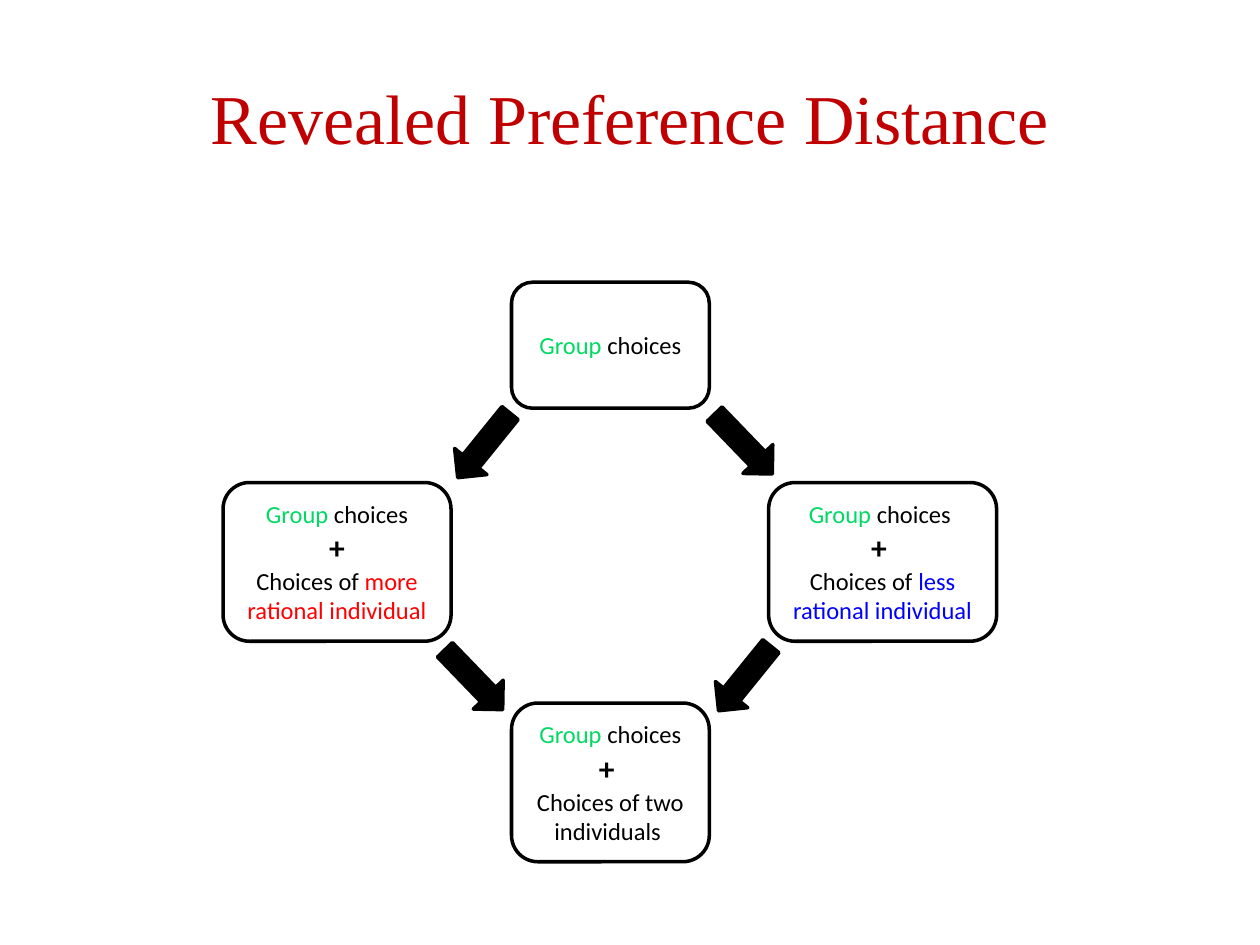
from dataclasses import dataclass

from pptx import Presentation, util as u
from pptx.dml.color import RGBColor
from pptx.enum import shapes, text

SCALE = 9144
BLACK = RGBColor(0, 0, 0)
GREEN = RGBColor(0, 0xDA, 0x63)
RED = RGBColor(0xFF, 0, 0)
BLUE = RGBColor(0, 0, 0xFF)
DARK_RED = RGBColor(0xC0, 0, 0)


def px(value: int) -> u.Emu:
    return u.Emu(value * SCALE)


@dataclass(frozen=True)
class Run:
    text: str
    color: RGBColor = BLACK
    size: int = 14
    bold: bool = False
    font: str = "Calibri"


@dataclass(frozen=True)
class Box:
    left: int
    top: int
    width: int
    height: int
    paragraphs: list[list[Run]]


@dataclass(frozen=True)
class Arrow:
    left: int
    top: int
    rotation: int
    width: int = 66
    height: int = 33


GROUP = Run("Group ", GREEN)
DOWN_LEFT, DOWN_RIGHT = 129, 46

TITLE = Box(50, 30, 900, 125, [
    [Run("Revealed Preference Distance", DARK_RED, 40, font="Times New Roman")],
])


def combined(choices: str, plus: str, *detail: Run) -> list[list[Run]]:
    return [[GROUP, Run(choices)], [Run(plus, size=18, bold=True)], list(detail)]


BOXES = [
    Box(406, 224, 157, 100, [[GROUP, Run("choices")]]),
    Box(406, 558, 157, 126,
        combined("choices", "+ ", Run("Choices of two individuals "))),
    Box(177, 383, 181, 126,
        combined("choices", "+", Run("Choices of "),
                 Run("more rational individual", RED))),
    Box(610, 383, 181, 126,
        combined("choices ", "+ ", Run("Choices of "),
                 Run("less rational individual", BLUE))),
]

ARROWS = [
    Arrow(351, 337, DOWN_LEFT),
    Arrow(558, 522, DOWN_LEFT),
    Arrow(557, 336, DOWN_RIGHT),
    Arrow(343, 523, DOWN_RIGHT),
]


def bounds(item: Box | Arrow) -> list[u.Emu]:
    return [px(value) for value in (item.left, item.top, item.width, item.height)]


def write_text(shape, paragraphs: list[list[Run]]) -> None:
    frame = shape.text_frame
    frame.word_wrap = True
    frame.vertical_anchor = text.MSO_ANCHOR.MIDDLE
    for index, runs in enumerate(paragraphs):
        paragraph = frame.add_paragraph() if index else frame.paragraphs[0]
        paragraph.alignment = text.PP_ALIGN.CENTER
        for part in runs:
            run = paragraph.add_run()
            run.text = part.text
            run.font.color.rgb = part.color
            formats = {"name": part.font, "size": u.Pt(part.size), "bold": part.bold}
            for name, value in formats.items():
                setattr(run.font, name, value)


def outline(shape) -> None:
    shape.shadow.inherit = False
    shape.line.color.rgb = BLACK
    shape.line.width = u.Pt(2)


def draw_box(slide, box: Box) -> None:
    shape = slide.shapes.add_shape(
        shapes.MSO_SHAPE.ROUNDED_RECTANGLE, *bounds(box))
    outline(shape)
    shape.fill.background()
    write_text(shape, box.paragraphs)


def draw_arrow(slide, arrow: Arrow) -> None:
    shape = slide.shapes.add_shape(shapes.MSO_SHAPE.RIGHT_ARROW, *bounds(arrow))
    outline(shape)
    shape.fill.solid()
    shape.fill.fore_color.rgb = BLACK
    shape.rotation = arrow.rotation


def main() -> None:
    presentation = Presentation()
    presentation.slide_width = px(1000)
    presentation.slide_height = px(750)
    slide = presentation.slides.add_slide(presentation.slide_layouts[6])
    write_text(slide.shapes.add_textbox(*bounds(TITLE)), TITLE.paragraphs)
    for box in BOXES:
        draw_box(slide, box)
    for arrow in ARROWS:
        draw_arrow(slide, arrow)
    presentation.save("out.pptx")


if __name__ == "__main__":
    main()
